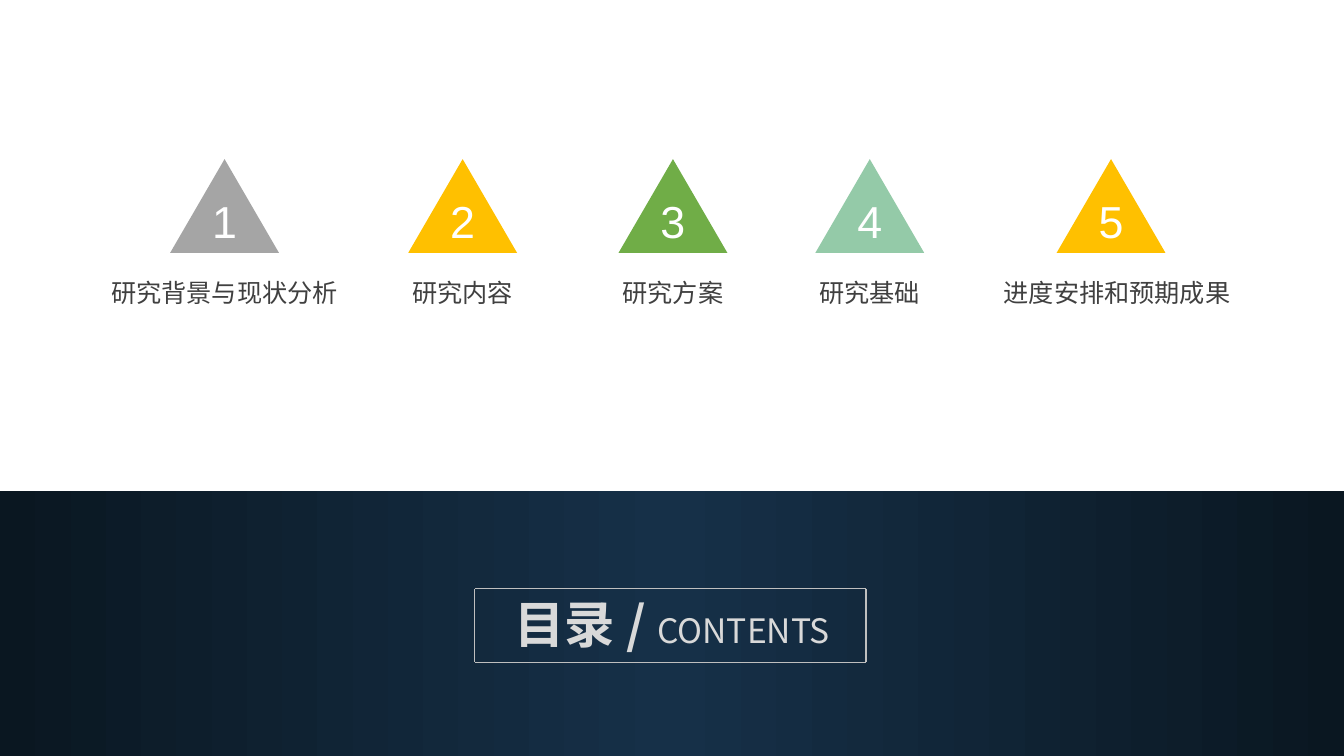
import lxml.etree
import pptx
import pptx.dml.color
import pptx.enum.shapes
import pptx.enum.text
import pptx.oxml.ns
import pptx.util

Cm = pptx.util.Cm
RGBColor = pptx.dml.color.RGBColor
qn = pptx.oxml.ns.qn

WHITE = RGBColor(0xFF, 0xFF, 0xFF)
DARK_GRAY = RGBColor(0x40, 0x40, 0x40)
LIGHT_GRAY = RGBColor(0xD9, 0xD9, 0xD9)
FRAME_GRAY = RGBColor(0xBF, 0xBF, 0xBF)
NAVY = RGBColor(0x16, 0x30, 0x48)
MIDNIGHT = RGBColor(0x0A, 0x17, 0x21)
GRAY = RGBColor(0xA5, 0xA5, 0xA5)
GOLD = RGBColor(0xFF, 0xC0, 0x00)
GREEN = RGBColor(0x70, 0xAD, 0x47)
MINT = RGBColor(0x94, 0xCA, 0xA8)
CHINESE_FONT = "Noto Sans CJK SC"


def add_run(paragraph, text, size, color, font=CHINESE_FONT, bold=False):
    run = paragraph.add_run()
    run.text = text
    run.font.size = pptx.util.Pt(size)
    run.font.color.rgb = color
    run.font.bold = bold
    run.font.name = font
    east_asian = lxml.etree.SubElement(run.font._element, qn("a:ea"))
    east_asian.set("typeface", font)


def add_text(shapes, text, left, top, width, height, wrap=False, **run_format):
    box = shapes.add_textbox(Cm(left), Cm(top), Cm(width), Cm(height))
    box.text_frame.word_wrap = wrap
    box.text_frame.auto_size = pptx.enum.text.MSO_AUTO_SIZE.SHAPE_TO_FIT_TEXT
    paragraph = box.text_frame.paragraphs[0]
    paragraph.alignment = pptx.enum.text.PP_ALIGN.CENTER
    add_run(paragraph, text, **run_format)
    return paragraph


presentation = pptx.Presentation()
presentation.slide_width = Cm(33.87)
presentation.slide_height = Cm(19.05)
slide = presentation.slides.add_slide(presentation.slide_layouts[6])

for left, width, rotation in [(0, 16.88, 180), (16.88, 16.99, 0)]:
    band = slide.shapes.add_shape(
        pptx.enum.shapes.MSO_SHAPE.RECTANGLE, Cm(left), Cm(12.38), Cm(width), Cm(6.67)
    )
    band.rotation = rotation
    band.shadow.inherit = False
    band.line.fill.background()
    band.fill.gradient()
    band.fill.gradient_angle = 0
    for stop, color in zip(band.fill.gradient_stops, [NAVY, MIDNIGHT]):
        stop.color.rgb = color

chapters = [
    ("研究背景与现状分析", 5.66, 5.66, 6.27, GRAY),
    ("研究内容", 11.66, 11.66, 3.07, GOLD),
    ("研究方案", 16.96, 16.96, 3.07, GREEN),
    ("研究基础", 21.92, 21.92, 3.07, MINT),
    ("进度安排和预期成果", 28, 28.15, 6.27, GOLD),
]
for number, (title, center, title_center, title_width, color) in enumerate(chapters, 1):
    add_text(slide.shapes, title, title_center - title_width / 2, 6.86, title_width, 1.02,
             size=18, color=DARK_GRAY)
    badge = slide.shapes.add_group_shape()
    triangle = badge.shapes.add_shape(
        pptx.enum.shapes.MSO_SHAPE.ISOSCELES_TRIANGLE,
        Cm(center - 1.37), Cm(4.01), Cm(2.74), Cm(2.36)
    )
    triangle.shadow.inherit = False
    triangle.fill.solid()
    triangle.fill.fore_color.rgb = color
    triangle.line.fill.background()
    add_text(badge.shapes, str(number), center - 0.57, 4.75, 1.14, 1.62,
             size=32, color=WHITE, font="Arial")

heading = add_text(slide.shapes, "目录 / ", 12.34, 14.83, 9.19, 1.8, wrap=True,
                   size=36, color=LIGHT_GRAY, bold=True)
add_run(heading, "CONTENTS", size=24, color=LIGHT_GRAY)

corners = [(11.96, 14.83), (21.82, 14.83), (21.82, 16.69), (11.96, 16.69)]
for start, end in zip(corners, corners[1:] + corners[:1]):
    edge = slide.shapes.add_connector(
        pptx.enum.shapes.MSO_CONNECTOR.STRAIGHT,
        Cm(start[0]), Cm(start[1]), Cm(end[0]), Cm(end[1])
    )
    edge.line.color.rgb = FRAME_GRAY
    edge.line.width = pptx.util.Pt(1)
    lxml.etree.SubElement(edge._element.spPr, qn("a:effectLst"))

presentation.save("out.pptx")
